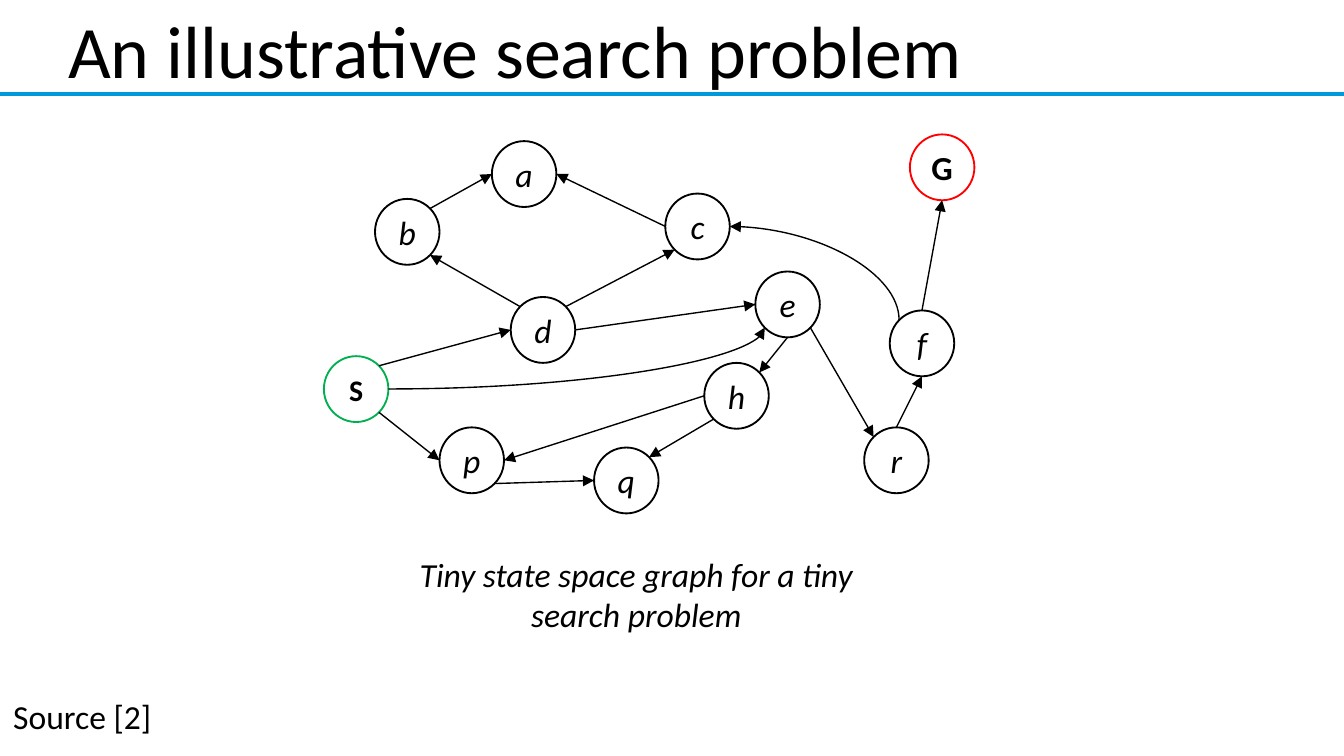
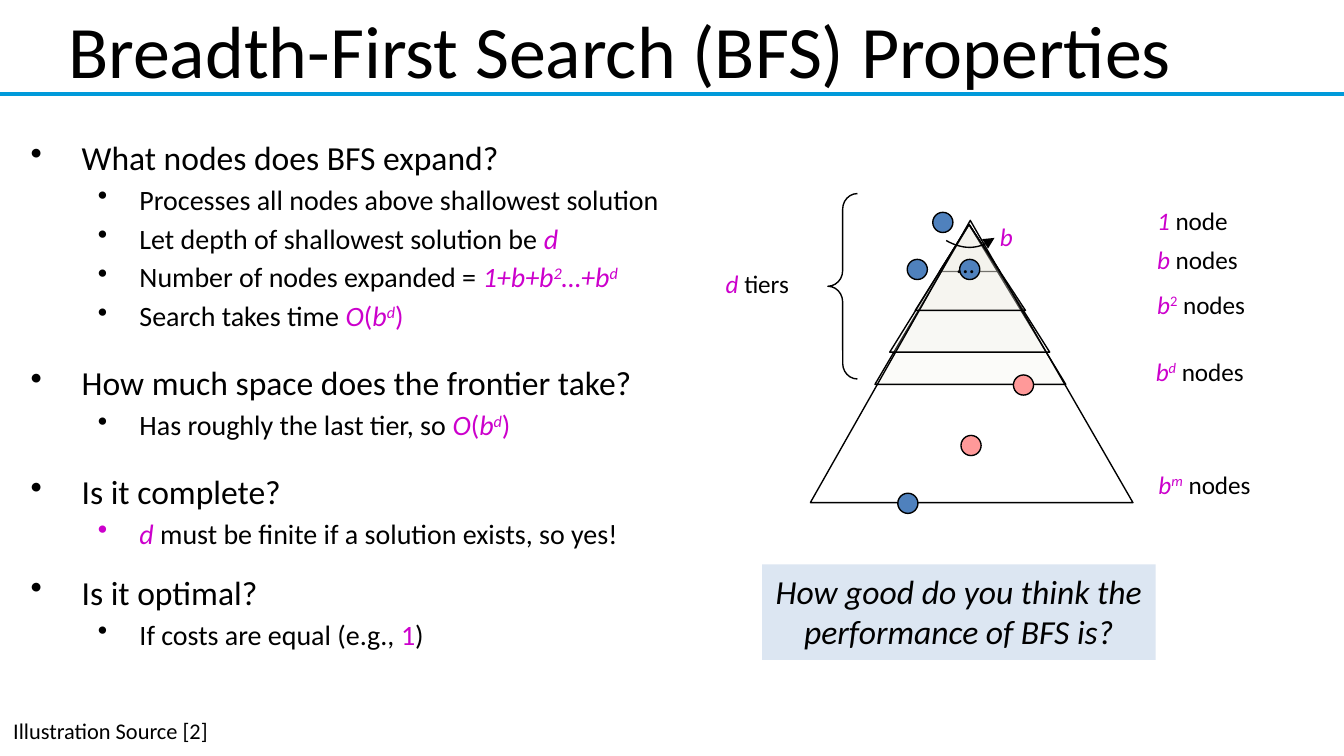
import math

from pptx import Presentation
from pptx import util as u
from pptx.dml.color import RGBColor
from pptx.enum import shapes, text
from pptx.oxml.ns import qn
from lxml import etree

SCALE = 9144  # EMU per px, 100 px to the inch
WIDTH = 1000
FONT = "Calibri"
BLACK, PURPLE, RULE_BLUE = "000000", "CC00CC", "009ADA"
GREEN, RED = "00B050", "FF0000"
BLUE_DOT, PINK_DOT, TIER_FILL, NOTE_FILL = "4F81BD", "FF9999", "EEECE1", "DCE6F2"
CENTER = text.PP_ALIGN.CENTER


def px(value):
    return round(value * SCALE)


def color(hex_string):
    return RGBColor.from_string(hex_string)


def add_xml(parent, tag, **attributes):
    return etree.SubElement(parent, qn(tag), attributes)


# Text

def write(paragraph, runs, size, italic=None, bold=None):
    """Runs are strings or (string, marks): p purple, i italic, ^ raised."""
    font = paragraph.font
    font.name, font.size = FONT, u.Pt(size)
    font.color.rgb = color(BLACK)
    font.italic, font.bold = italic, bold
    for item in [runs] if isinstance(runs, str) else runs:
        words, marks = (item, "") if isinstance(item, str) else item
        run = paragraph.add_run()
        run.text = words
        if "p" in marks:
            run.font.color.rgb = color(PURPLE)
        if "i" in marks:
            run.font.italic = True
        if "^" in marks:
            run._r.get_or_add_rPr().set("baseline", "30000")


def set_frame(shape, inset=(10, 5), anchor=text.MSO_ANCHOR.TOP, wrap=True):
    frame = shape.text_frame
    frame.word_wrap = wrap
    frame.vertical_anchor = anchor
    frame.margin_left = frame.margin_right = px(inset[0])
    frame.margin_top = frame.margin_bottom = px(inset[1])
    return frame


def add_text(slide, box, runs, size, align=None, italic=None, **frame_options):
    shape = slide.shapes.add_textbox(*map(px, box))
    paragraph = set_frame(shape, **frame_options).paragraphs[0]
    paragraph.alignment = align
    write(paragraph, runs, size, italic)


def add_label(slide, box, runs):
    add_text(slide, box, runs, 13.5, inset=(7, 4))


# Shapes and lines

def style(shape, fill=None, line=BLACK, width=0.75):
    shape.shadow.inherit = False
    if fill:
        shape.fill.solid()
        shape.fill.fore_color.rgb = color(fill)
    else:
        shape.fill.background()
    if line:
        shape.line.color.rgb = color(line)
        shape.line.width = u.Pt(width)
    else:
        shape.line.fill.background()
    return shape


def add_preset(slide, preset, box, **looks):
    return style(slide.shapes.add_shape(preset, *map(px, box)), **looks)


def add_outline(slide, points, close=True, **looks):
    corners = [(px(x), px(y)) for x, y in points]
    builder = slide.shapes.build_freeform(*corners[0], scale=1.0)
    builder.add_line_segments(corners[1:], close=close)
    return style(builder.convert_to_shape(), **looks)


def add_arrowhead(shape):
    add_xml(shape.line._get_or_add_ln(), "a:tailEnd", type="triangle")


def add_line(slide, start, end, line=BLACK, width=0.75,
             kind=shapes.MSO_CONNECTOR.STRAIGHT):
    connector = slide.shapes.add_connector(kind, *map(px, (*start, *end)))
    connector.line.color.rgb = color(line)
    connector.line.width = u.Pt(width)
    add_xml(connector._element.spPr, "a:effectLst")
    return connector


def add_arrow(slide, start, end):
    add_arrowhead(add_line(slide, start, end))


def add_curved_arrow(slide, start, end, upright=False):
    """A quarter bend that leaves sideways, or up and down if upright."""
    if upright:  # the same bend, turned a quarter about its middle
        mid_x, mid_y = (start[0] + end[0]) / 2, (start[1] + end[1]) / 2
        half_x, half_y = (end[0] - start[0]) / 2, (end[1] - start[1]) / 2
        start = mid_x - half_y, mid_y + half_x
        end = mid_x + half_y, mid_y - half_x
    connector = add_line(slide, start, end, kind=shapes.MSO_CONNECTOR.CURVE)
    properties = connector._element.spPr
    properties.find(qn("a:prstGeom")).set("prst", "curvedConnector2")
    if upright:
        properties.find(qn("a:xfrm")).set("rot", str(90 * 60000))
    add_arrowhead(connector)


# Shared slide frame

def add_slide(presentation, title, source, source_box, source_size):
    slide = presentation.slides.add_slide(presentation.slide_layouts[6])
    add_line(slide, (0, 70), (WIDTH, 70), RULE_BLUE, 2)
    add_text(slide, (41, 11, 900, 51), title, 39.6, anchor=text.MSO_ANCHOR.MIDDLE)
    add_text(slide, source_box, source, source_size, wrap=False)
    return slide


# Slide 1: state space graph

NODE_SIZE = (48, 49)
NODES = {
    "S": (0, 165), "G": (436, 0), "d": (139, 121), "b": (38, 48),
    "p": (86, 218), "q": (201, 233), "c": (254, 44), "e": (321, 102),
    "h": (283, 170), "a": (125, 5), "f": (421, 131), "r": (402, 218),
}
END_NODES = {"S": (GREEN, 16), "G": (RED, 18)}
COMPASS = ["E", "SE", "S", "SW", "W", "NW", "N", "NE"]
EDGES = [
    "S SE p W", "p SE q W", "h SW q NE", "h W p E", "e S h NE",
    "e SE r NW", "r N f S", "f N G S", "S NE d W", "d NW b SE",
    "b NE a W", "c W a E", "d NE c SW", "d E e W",
]


def draw_graph(slide, left, top):
    width, height = NODE_SIZE

    def site(name, side):
        angle = COMPASS.index(side) * math.pi / 4
        x, y = NODES[name]
        return (left + x + width / 2 * (1 + math.cos(angle)),
                top + y + height / 2 * (1 + math.sin(angle)))

    # Nodes
    for name, (x, y) in NODES.items():
        line, size = END_NODES.get(name, (BLACK, 18))
        is_end = name in END_NODES
        node = add_preset(slide, shapes.MSO_SHAPE.FLOWCHART_CONNECTOR,
                          (left + x, top + y, width, height), line=line, width=1)
        frame = set_frame(node, anchor=text.MSO_ANCHOR.MIDDLE, wrap=False)
        frame.paragraphs[0].alignment = CENTER
        write(frame.paragraphs[0], name, size, italic=not is_end, bold=is_end)

    # Edges
    for edge in EDGES:
        tail, tail_side, head, head_side = edge.split()
        add_arrow(slide, site(tail, tail_side), site(head, head_side))
    add_curved_arrow(slide, site("f", "NW"), site("c", "E"), upright=True)
    add_curved_arrow(slide, site("S", "E"), site("e", "SW"))


def build_graph_slide(presentation):
    slide = add_slide(presentation, "An illustrative search problem",
                      "Source [2]", (0, 513, 124, 40), 18)
    draw_graph(slide, 241, 100)
    add_text(slide, (290, 407, 367, 71),
             "Tiny state space graph for a tiny search problem", 18, CENTER, True)


# Slide 2: properties of BFS

ORDER_B_D = [("O", "pi"), ("(", "p"), ("b", "pi"), ("d", "pi^"), (")", "p")]
# Question, space before it in points, answers
QUESTIONS = [
    ("What nodes does BFS expand?", 0, [
        "Processes all nodes above shallowest solution",
        ["Let depth of shallowest solution be ", ("d", "pi")],
        ["Number of nodes expanded = ", ("1+b+b", "pi"), ("2", "pi^"),
         ("…+b", "pi"), ("d", "pi^")],
        ["Search takes time ", *ORDER_B_D]]),
    ("How much space does the frontier take?", 16,
     [["Has roughly the last tier, so ", *ORDER_B_D]]),
    ("Is it complete?", 16,
     [[("d", "pi"), " must be finite if a solution exists, so yes!"]]),
    ("Is it optimal?", 11.7,
     [["If costs are equal (e.g., ", ("1", "p"), ")"]]),
]


def draw_questions(slide, box):
    frame = set_frame(slide.shapes.add_textbox(*map(px, box)))

    def add_bullet(runs, size, level, indent, hanging, before):
        first = not frame.paragraphs[0].runs
        paragraph = frame.paragraphs[0] if first else frame.add_paragraph()
        paragraph.level = level
        if not first:
            paragraph.space_before = u.Pt(before)
        properties = paragraph._p.get_or_add_pPr()
        properties.set("marL", str(px(indent)))
        properties.set("indent", str(-px(hanging)))
        add_xml(properties, "a:buChar", char="•")
        write(paragraph, runs, size)

    for question, before, answers in QUESTIONS:
        add_bullet(question, 18, 0, 38, 38, before)
        for answer in answers:
            add_bullet(answer, 15, 1, 81, 31, 2.75)


TIERS = [(166, 211, 58), (118, 260, 142), (129, 248, 118), (148, 230, 87)]
DOTS = [(161, 14, BLUE_DOT), (142, 49, BLUE_DOT), (181, 49, BLUE_DOT),
        (135, 223, BLUE_DOT), (221, 135, PINK_DOT), (182, 180, PINK_DOT)]
TIER_LABELS = [
    (321, 5, [("1", "pi"), " node"]),
    (321, 34, [("b", "pi"), " nodes"]),
    (321, 67, [("b", "pi"), ("2", "p^"), " nodes"]),
    (320, 117, [("b", "pi"), ("d", "pi^"), " nodes"]),
    (322, 201, [("b", "pi"), ("m", "pi^"), " nodes"]),
]


def draw_tree(slide, left, top):
    def place(*points):
        return [(left + x, top + y) for x, y in points]

    # Nested tiers and the whole tree
    for tier_left, tier_right, base in TIERS:
        tier = add_outline(slide, place((188, 23), (tier_left, base),
                                        (tier_right, base)), fill=TIER_FILL)
        fill = tier._element.spPr.find(qn("a:solidFill"))
        add_xml(fill[0], "a:alpha", val="20000")
    add_outline(slide, place((70, 230), (310, 230), (189, 20)))

    # Nodes
    for x, y, fill in DOTS:
        add_preset(slide, shapes.MSO_SHAPE.OVAL,
                   (left + x, top + y, 15, 15), fill=fill)
    add_label(slide, (left + 172, top + 37, 23, 30), "…")

    # Branching arc
    (x0, y0), (x1, y1), (x2, y2) = place((171, 35), (191, 46), (207, 33))
    steps = [i / 16 for i in range(17)]
    arc = [((1 - t) ** 2 * x0 + 2 * t * (1 - t) * x1 + t * t * x2,
            (1 - t) ** 2 * y0 + 2 * t * (1 - t) * y1 + t * t * y2)
           for t in steps]
    add_arrowhead(add_outline(slide, arc, close=False))
    add_label(slide, (left + 204, top + 17, 24, 30), [("b", "pi")])

    # Depth brace and tier sizes
    brace = add_preset(slide, shapes.MSO_SHAPE.LEFT_BRACE,
                       (left + 83, top, 22, 138))
    brace.adjustments[0] = 0.53
    add_label(slide, (left, top + 52, 104, 30), [("d", "pi"), " tiers"])
    for x, y, runs in TIER_LABELS:
        add_label(slide, (left + x, top + y, 120, 30), runs)


def draw_prompt(slide, box):
    prompt = add_preset(slide, shapes.MSO_SHAPE.RECTANGLE, box,
                        fill=NOTE_FILL, line=None)
    paragraph = set_frame(prompt).paragraphs[0]
    paragraph.alignment = CENTER
    write(paragraph, "How good do you think the performance of BFS is?", 18, True)


def build_properties_slide(presentation):
    slide = add_slide(presentation, "Breadth-First Search (BFS) Properties",
                      "Illustration Source [2]", (0, 529, 167, 30), 12)
    draw_questions(slide, (13, 97, 900, 379))
    draw_tree(slide, 533, 144)
    draw_prompt(slide, (567, 420, 293, 71))


def main():
    presentation = Presentation()
    presentation.slide_width = px(WIDTH)
    presentation.slide_height = px(WIDTH * 9 / 16)
    build_graph_slide(presentation)
    build_properties_slide(presentation)
    presentation.save("out.pptx")


if __name__ == "__main__":
    main()
